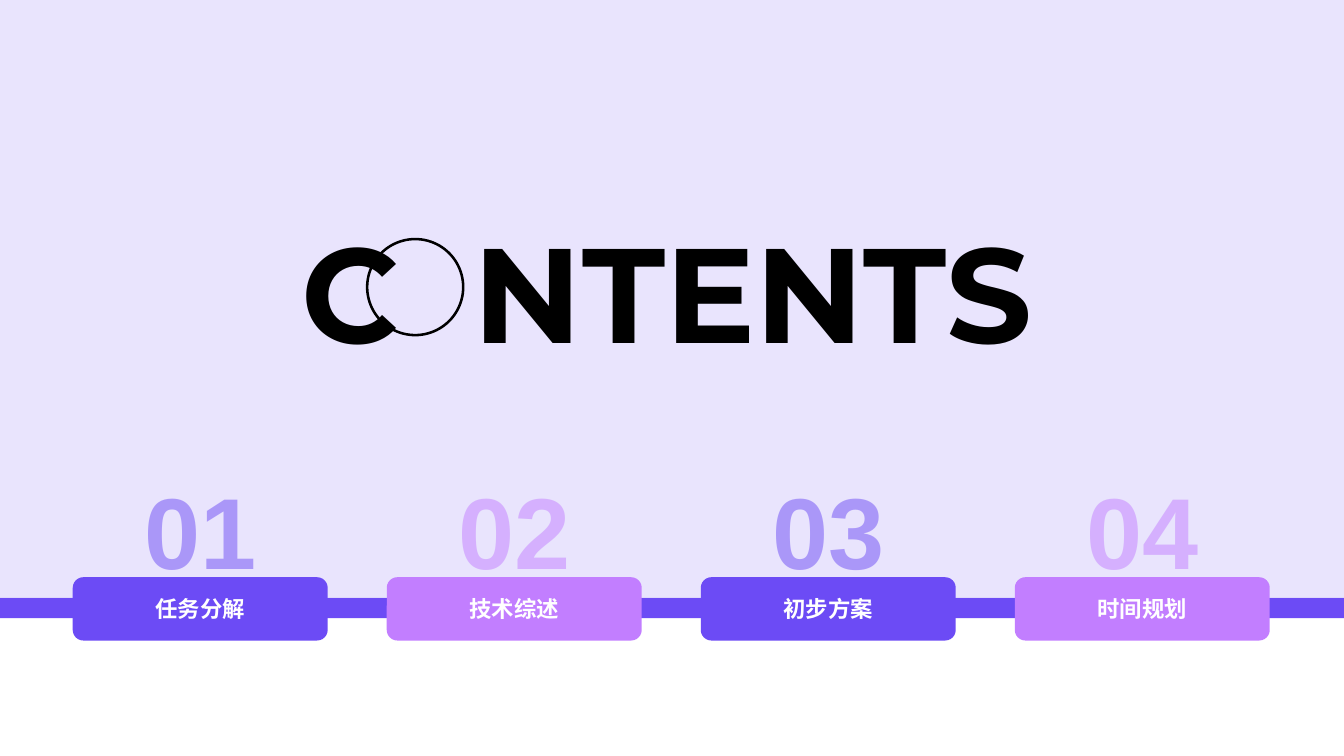
from lxml import etree
from pptx import Presentation
from pptx.dml.color import RGBColor
from pptx.enum.shapes import MSO_SHAPE as Preset
from pptx.enum.text import MSO_ANCHOR as Anchor, MSO_AUTO_SIZE as AutoSize, PP_ALIGN as Align
from pptx.oxml.ns import qn
from pptx.util import Pt

VIOLET = RGBColor(0x6C, 0x4B, 0xF5)
ORCHID = RGBColor(0xC2, 0x7E, 0xFF)
WHITE = RGBColor(0xFF, 0xFF, 0xFF)
BLACK = RGBColor(0, 0, 0)

SLIDE_WIDTH, SLIDE_HEIGHT = 960, 540
BAND_TOP, BAND_HEIGHT = 427, 14.5
CARD_LEFT, CARD_TOP = 52, 412.3
CARD_WIDTH, CARD_HEIGHT = 182.1, 45.2
CARD_PITCH = 224.3
NUMBER_TOP, NUMBER_WIDTH, NUMBER_HEIGHT = 330.5, 95, 94.3
CHAPTERS = ["任务分解", "技术综述", "初步方案", "时间规划"]


def set_opacity(element, percent):
    """Make every solid colour inside the XML element partly transparent."""
    for colour in element.iter(qn("a:srgbClr")):
        etree.SubElement(colour, qn("a:alpha"), val=str(percent * 1000))


def add_filled_shape(slide, preset, left, top, width, height, colour):
    shape = slide.shapes.add_shape(preset, Pt(left), Pt(top), Pt(width), Pt(height))
    shape.shadow.inherit = False
    shape.fill.solid()
    shape.fill.fore_color.rgb = colour
    shape.line.fill.background()
    return shape


def add_unwrapped_box(slide, left, top, width, height, anchor):
    box = slide.shapes.add_textbox(Pt(left), Pt(top), Pt(width), Pt(height))
    frame = box.text_frame
    frame.word_wrap = False
    frame.auto_size = AutoSize.SHAPE_TO_FIT_TEXT
    frame.vertical_anchor = anchor
    return frame


def style_centred(paragraph, font_name, size, colour):
    paragraph.alignment = Align.CENTER
    font = paragraph.font
    font.name, font.size, font.bold = font_name, Pt(size), True
    font.color.rgb = colour


def add_backdrop(slide):
    backdrop = add_filled_shape(slide, Preset.RECTANGLE, 0, 0, SLIDE_WIDTH, BAND_TOP, VIOLET)
    set_opacity(backdrop.fill.fore_color._xFill, 15)
    add_filled_shape(slide, Preset.RECTANGLE, 0, BAND_TOP, SLIDE_WIDTH, BAND_HEIGHT, VIOLET)


def add_title(slide):
    """Write the heading with a wide gap where a ring stands for its O."""
    frame = add_unwrapped_box(slide, 188, 144, 584, 123.8, Anchor.BOTTOM)
    frame.margin_left = 0
    heading = frame.paragraphs[0]
    for part in ("C", " ", "NTENTS"):
        run = heading.add_run()
        run.text = part
        if part == " ":
            run._r.get_or_add_rPr().set("spc", "2500")
    style_centred(heading, "Montserrat", 96, BLACK)


def add_ring(slide):
    ring = slide.shapes.add_shape(Preset.OVAL, Pt(262.3), Pt(170.8), Pt(68.6), Pt(68.6))
    ring.shadow.inherit = False
    ring.fill.background()
    ring.line.color.rgb = BLACK
    ring.line.width = Pt(1.8)


def add_number(slide, left, number, colour):
    frame = add_unwrapped_box(slide, left + (CARD_WIDTH - NUMBER_WIDTH) / 2, NUMBER_TOP,
                              NUMBER_WIDTH, NUMBER_HEIGHT, Anchor.MIDDLE)
    frame.text = f"{number:02d}"
    style_centred(frame.paragraphs[0], "Arial", 72, colour)
    set_opacity(frame.paragraphs[0]._p, 50)


def add_card(slide, left, chapter, colour):
    card = add_filled_shape(slide, Preset.ROUNDED_RECTANGLE, left, CARD_TOP,
                            CARD_WIDTH, CARD_HEIGHT, colour)
    frame = card.text_frame
    frame.vertical_anchor = Anchor.MIDDLE
    frame.text = chapter
    style_centred(frame.paragraphs[0], "Arial", 16, WHITE)


def main():
    deck = Presentation()
    deck.slide_width, deck.slide_height = Pt(SLIDE_WIDTH), Pt(SLIDE_HEIGHT)
    slide = deck.slides.add_slide(deck.slide_layouts[6])
    add_backdrop(slide)
    add_title(slide)
    for index, chapter in enumerate(CHAPTERS):
        left = CARD_LEFT + index * CARD_PITCH
        colour = (VIOLET, ORCHID)[index % 2]
        add_number(slide, left, index + 1, colour)
        add_card(slide, left, chapter, colour)
    add_ring(slide)
    deck.save("out.pptx")


if __name__ == "__main__":
    main()
